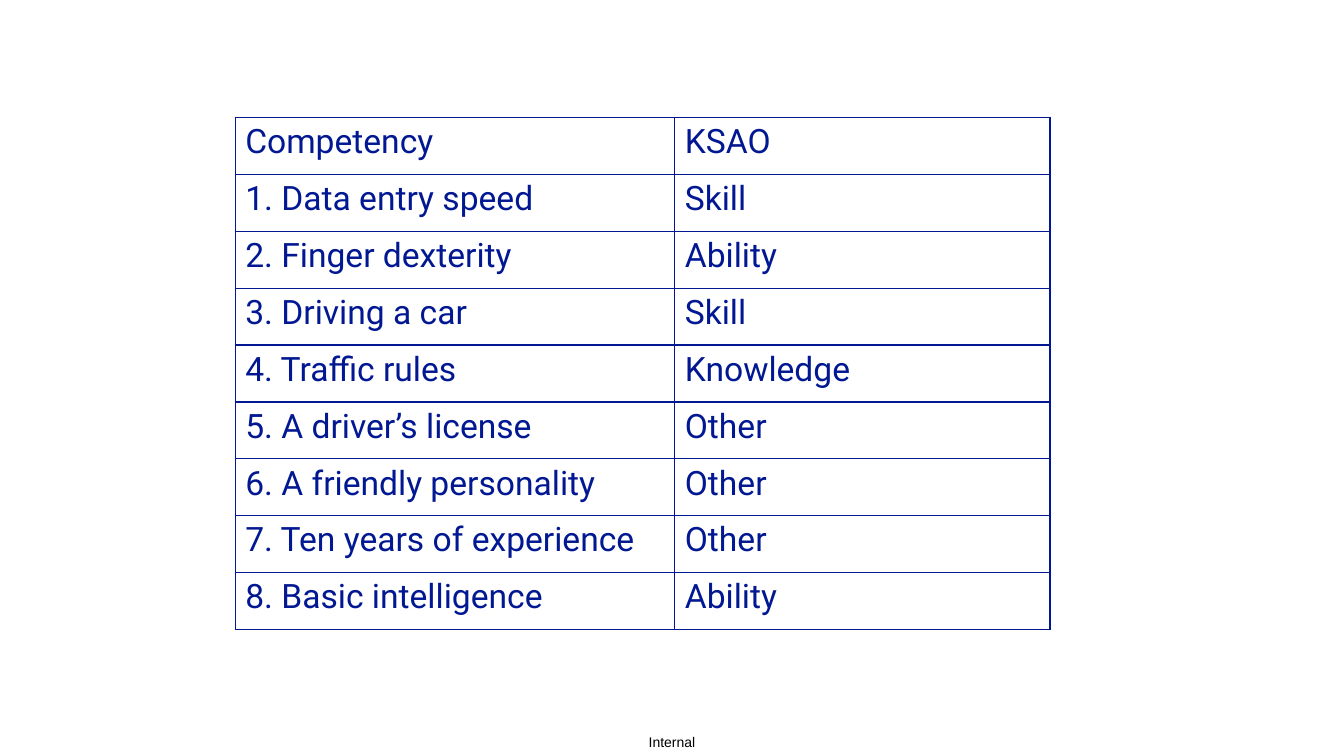
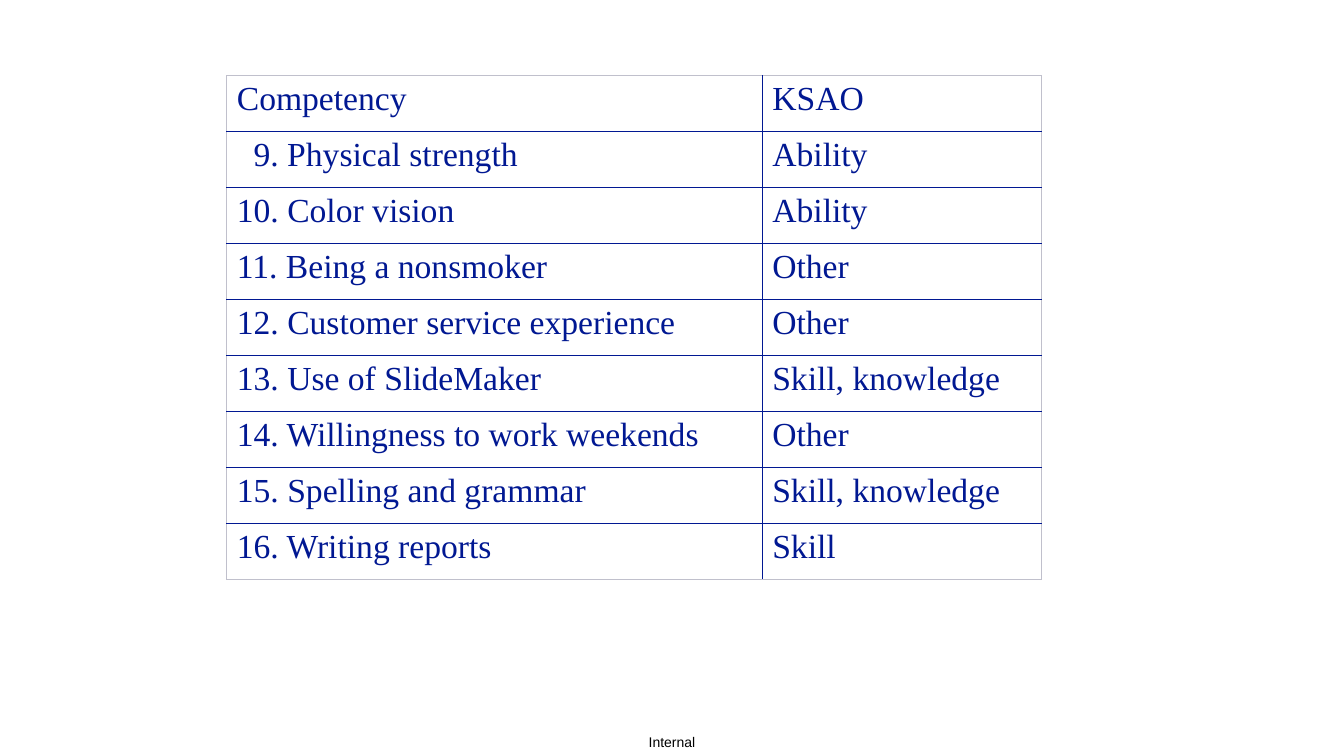
from dataclasses import dataclass

from lxml import etree
from pptx import Presentation
from pptx.dml.color import RGBColor
from pptx.enum.text import MSO_ANCHOR, PP_ALIGN
from pptx.oxml.ns import qn
from pptx.slide import Slide
from pptx.table import _Cell
from pptx.util import Pt

NAVY = RGBColor(0x01, 0x18, 0x92)
GREY = RGBColor(0xC0, 0xC0, 0xCC)
BLACK = RGBColor(0, 0, 0)
CENTER = PP_ALIGN.CENTER
MIDDLE = MSO_ANCHOR.MIDDLE
WIDE, HIGH = 960, 540
PAD_X, PAD_Y = 7.2, 3.6
DIGIT = 12
HEAD = ("Competency", "KSAO")


@dataclass(frozen=True)
class Grid:
    left: float
    top: float
    cols: tuple[float, float]
    height: float
    font: str
    edge: RGBColor
    start: int
    items: tuple[tuple[str, str], ...]


GRIDS = (
    Grid(168, 84, (314, 268), 40.64, "Roboto", NAVY, 1, (
        ("Data entry speed", "Skill"),
        ("Finger dexterity", "Ability"),
        ("Driving a car", "Skill"),
        ("Traffic rules", "Knowledge"),
        ("A driver’s license", "Other"),
        ("A friendly personality", "Other"),
        ("Ten years of experience", "Other"),
        ("Basic intelligence", "Ability"),
    )),
    Grid(162, 54, (382.5, 199.5), 40, "Times New Roman", GREY, 9, (
        ("Physical strength", "Ability"),
        ("Color vision", "Ability"),
        ("Being a nonsmoker", "Other"),
        ("Customer service experience", "Other"),
        ("Use of SlideMaker", "Skill, knowledge"),
        ("Willingness to work weekends", "Other"),
        ("Spelling and grammar", "Skill, knowledge"),
        ("Writing reports", "Skill"),
    )),
)


def add_line(cell: _Cell, side: str, color: RGBColor) -> None:
    props = cell._tc.get_or_add_tcPr()
    line = etree.SubElement(props, qn(f"a:ln{side}"), w=str(Pt(1)))
    fill = etree.SubElement(line, qn("a:solidFill"))
    etree.SubElement(fill, qn("a:srgbClr"), val=str(color))


def fill_cell(cell: _Cell, text: str, font: str, indent: float) -> None:
    cell.fill.background()
    cell.margin_left = Pt(PAD_X + indent)
    cell.margin_right = Pt(PAD_X)
    cell.margin_top = cell.margin_bottom = Pt(PAD_Y)
    cell.text_frame.text = text
    style = cell.text_frame.paragraphs[0].runs[0].font
    style.name, style.size, style.bold = font, Pt(24), False
    style.color.rgb = NAVY


def add_grid(slide: Slide, grid: Grid) -> None:
    last = grid.start + len(grid.items) - 1
    rows = [HEAD] + [(f"{num}. {name}", kind)
                     for num, (name, kind) in enumerate(grid.items, grid.start)]
    count = len(rows)
    table = slide.shapes.add_table(
        count, len(grid.cols), Pt(grid.left), Pt(grid.top),
        Pt(sum(grid.cols)), Pt(count * grid.height)).table
    table.first_row = table.horz_banding = False
    for col, width in zip(table.columns, grid.cols):
        col.width = Pt(width)
    for r, row in enumerate(rows):
        table.rows[r].height = Pt(grid.height)
        short = r > 0 and len(str(grid.start + r - 1)) < len(str(last))
        for c, text in enumerate(row):
            cell = table.cell(r, c)
            outer = {"L": c == 0, "R": c == len(row) - 1,
                     "T": r == 0, "B": r == count - 1}
            for side, rim in outer.items():
                add_line(cell, side, grid.edge if rim else NAVY)
            fill_cell(cell, text, grid.font, DIGIT if short and c == 0 else 0)


def add_foot(slide: Slide) -> None:
    width, height = 54.7, 19.5
    box = slide.shapes.add_textbox(
        Pt((WIDE - width) / 2), Pt(HIGH - height), Pt(width), Pt(height))
    frame = box.text_frame
    frame.margin_left = frame.margin_right = 0
    frame.margin_top = frame.margin_bottom = 0
    frame.word_wrap = True
    frame.vertical_anchor = MIDDLE
    frame.text = "Internal"
    para = frame.paragraphs[0]
    para.alignment = CENTER
    style = para.runs[0].font
    style.name, style.size = "Arial", Pt(10)
    style.color.rgb = BLACK


def main() -> None:
    deck = Presentation()
    deck.slide_width, deck.slide_height = Pt(WIDE), Pt(HIGH)
    blank = deck.slide_layouts.get_by_name("Blank")
    for grid in GRIDS:
        slide = deck.slides.add_slide(blank)
        add_foot(slide)
        add_grid(slide, grid)
    deck.save("out.pptx")


if __name__ == "__main__":
    main()
